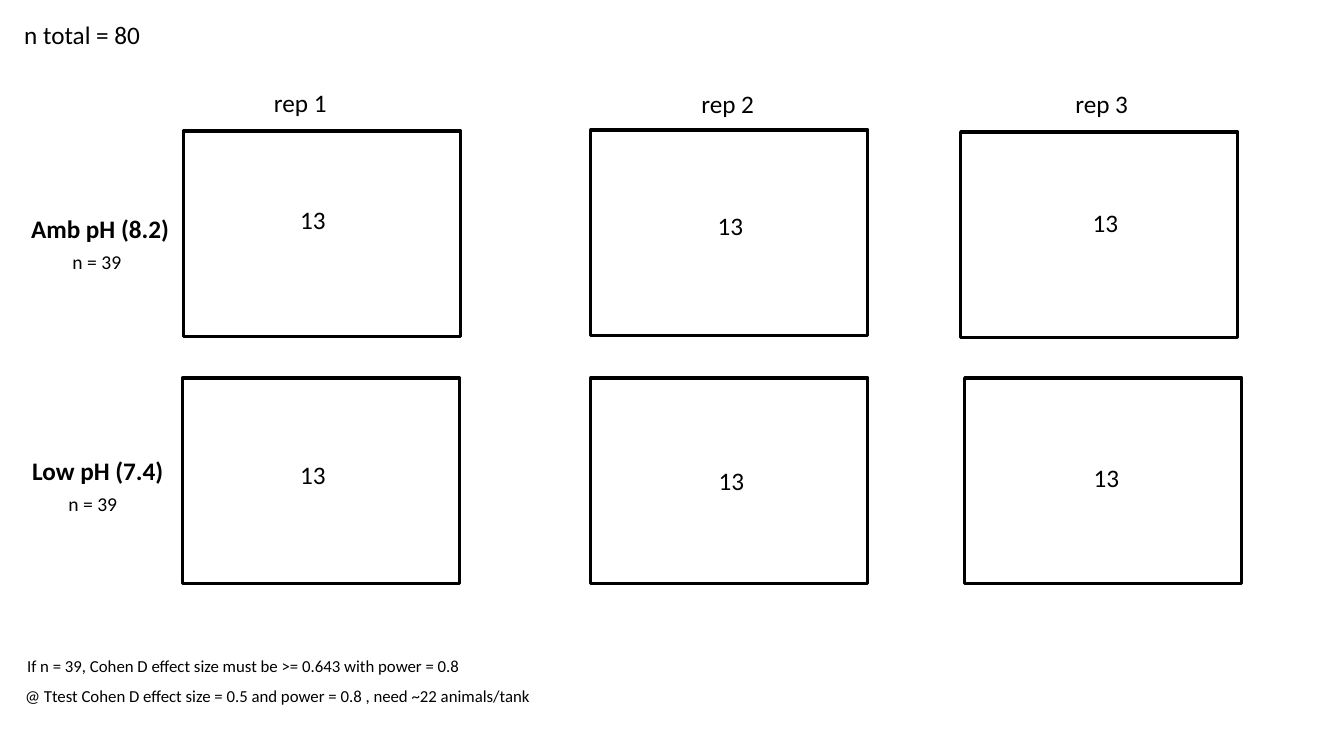
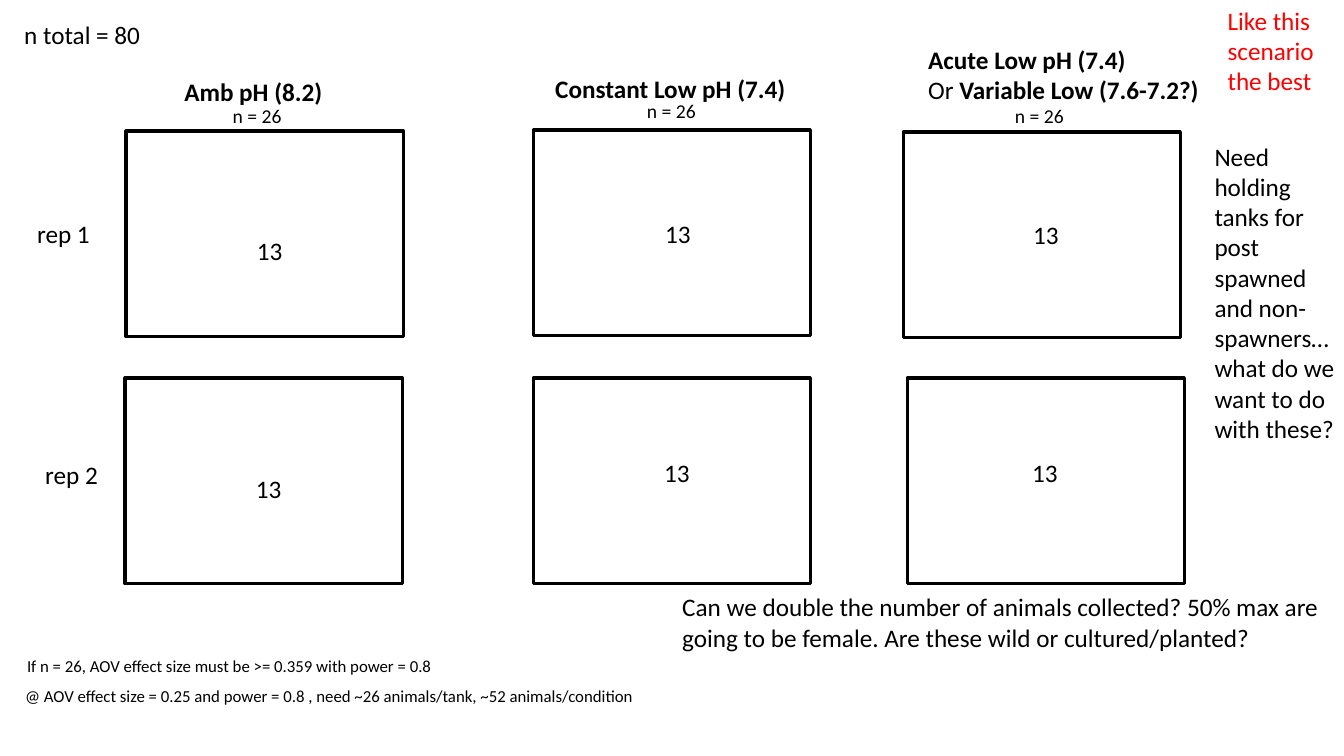
from dataclasses import dataclass
from typing import NamedTuple

from pptx import Presentation
from pptx import util as u
from pptx.dml.color import RGBColor
from pptx.enum import shapes, text

CELL = u.Inches(0.1)  # one column or row of the layout grid
SLIDE_COLUMNS, SLIDE_ROWS = 133.33, 75
TITLE_ONLY_LAYOUT = 5


@dataclass(frozen=True)
class Theme:
    font: str = "Calibri"
    ink: RGBColor = RGBColor(0, 0, 0)
    accent: RGBColor = RGBColor(255, 0, 0)
    outline: float = 2.25
    body: int = 18
    count: int = 14
    footnote: int = 12


THEME = Theme()
LINE_ROWS = {THEME.body: 4, THEME.count: 3.4, THEME.footnote: 3}


class Place(NamedTuple):
    column: float
    row: float


@dataclass(frozen=True)
class Label:
    text: str
    place: Place
    columns: float
    size: int = THEME.body
    bold: bool = False
    color: RGBColor = THEME.ink
    rows: float | None = None
    wrap: bool = False


@dataclass(frozen=True)
class Scenario:
    tank_shift: float
    labels: tuple[Label, ...]


TANK_COLUMNS, TANK_ROWS = 27.5, 20.4
TANKS = (
    Place(18.2, 13), Place(58.6, 12.9), Place(95.3, 13.1),
    Place(18.1, 37.5), Place(58.6, 37.5), Place(95.7, 37.5),
)
TITLE = Label("n total = 80", Place(1.4, 1.4), 14.2)


def tank_counts(*places: Place) -> tuple[Label, ...]:
    return tuple(Label("13", place, 4.6) for place in places)


def group_sizes(size: int, *places: Place) -> tuple[Label, ...]:
    return tuple(Label(f"n = {size}", place, 6.9, THEME.count) for place in places)


def replicates(*places: Place) -> tuple[Label, ...]:
    return tuple(Label(f"rep {number}", place, 7.3)
                 for number, place in enumerate(places, start=1))


def footnotes(condition: str, condition_columns: float,
              need: str, need_columns: float) -> tuple[Label, ...]:
    return (Label(condition, Place(1.7, 64.6), condition_columns, THEME.footnote),
            Label(need, Place(1.5, 67.5), need_columns, THEME.footnote))


TWO_CONDITIONS = Scenario(0, (
    Label("Amb pH (8.2)", Place(2.1, 20.7), 15.9, bold=True),
    Label("Low pH (7.4)", Place(2.2, 44.7), 15.2, bold=True),
    *group_sizes(39, Place(6.2, 24.3), Place(5.8, 48.3)),
    *replicates(Place(26.2, 8.2), Place(68.6, 8.3), Place(105.7, 8.3)),
    *tank_counts(Place(28.8, 19.8), Place(70.2, 20.4), Place(107.4, 20.1),
                 Place(28.8, 45.1), Place(70.3, 45.7), Place(107.5, 45.4)),
    *footnotes(
        "If n = 39, Cohen D effect size must be >= 0.643 with power = 0.8", 45.5,
        "@ Ttest Cohen D effect size = 0.5 and power = 0.8 , need ~22 animals/tank",
        52.8),
))

THREE_CONDITIONS = Scenario(-5.7, (
    Label("Amb pH (8.2)", Place(17.3, 7.1), 15.9, bold=True),
    Label("Constant Low pH (7.4)", Place(54.1, 6.8), 25.1, bold=True),
    *group_sizes(26, Place(22.1, 9.8), Place(63.2, 9.3), Place(99.7, 9.8)),
    *replicates(Place(2.7, 21.2), Place(3.5, 45.1)),
    *tank_counts(Place(24.5, 22.9), Place(65, 21.2), Place(101.5, 21.3),
                 Place(24.4, 46.5), Place(64.9, 44.9), Place(101.4, 44.9)),
    *footnotes(
        "If n = 26, AOV effect size must be >= 0.359 with power = 0.8", 43.7,
        "@ AOV effect size = 0.25 and power = 0.8 , need ~26 animals/tank, "
        "~52 animals/condition", 63.2),
    Label("Like this scenario the best", Place(120.8, 0), 12.5,
          color=THEME.accent, rows=10.1, wrap=True),
    Label("Need holding tanks for post spawned and non-spawners…"
          "what do we want to do with these?",
          Place(119.5, 13.5), 13.9, rows=34.3, wrap=True),
    Label("Can we double the number of animals collected? 50% max are going to be "
          "female. Are these wild or cultured/planted?",
          Place(66.7, 58.2), 66.7, rows=7.1, wrap=True),
))
ACUTE_HEADING = Label("Acute Low pH (7.4)", Place(91.1, 3.9), 29.1, bold=True, rows=7.1)


def cells(count: float) -> int:
    return round(count * CELL)


def format_paragraph(paragraph, label: Label) -> None:
    paragraph.alignment = text.PP_ALIGN.LEFT
    font = paragraph.font
    font.name, font.size, font.bold = THEME.font, u.Pt(label.size), label.bold
    font.color.rgb = label.color


def fill_label(shape, label: Label) -> None:
    """Place, wrap and format a text box or placeholder according to its label."""
    shape.left, shape.top = cells(label.place.column), cells(label.place.row)
    shape.width = cells(label.columns)
    shape.height = cells(label.rows or LINE_ROWS[label.size])
    frame = shape.text_frame
    frame.text = label.text
    frame.word_wrap = label.wrap
    frame.auto_size = text.MSO_AUTO_SIZE.SHAPE_TO_FIT_TEXT
    frame.vertical_anchor = text.MSO_ANCHOR.TOP
    format_paragraph(frame.paragraphs[0], label)


def add_label(slide, label: Label):
    shape = slide.shapes.add_textbox(0, 0, CELL, CELL)
    fill_label(shape, label)
    return shape


def add_tank(slide, place: Place, shift: float) -> None:
    tank = slide.shapes.add_shape(
        shapes.MSO_SHAPE.RECTANGLE, cells(place.column + shift), cells(place.row),
        cells(TANK_COLUMNS), cells(TANK_ROWS))
    tank.shadow.inherit = False
    tank.fill.background()
    tank.line.color.rgb = THEME.ink
    tank.line.width = u.Pt(THEME.outline)


def add_acute_heading(slide) -> None:
    """Add the two-line heading whose second line starts in regular weight."""
    frame = add_label(slide, ACUTE_HEADING).text_frame
    paragraph = frame.add_paragraph()
    format_paragraph(paragraph, ACUTE_HEADING)
    for words, bold in (("Or ", False), ("Variable Low (7.6-7.2?)", True)):
        run = paragraph.add_run()
        run.text = words
        run.font.bold = bold


def add_scenario(presentation, scenario: Scenario):
    slide = presentation.slides.add_slide(presentation.slide_layouts[TITLE_ONLY_LAYOUT])
    fill_label(slide.shapes.title, TITLE)
    for place in TANKS:
        add_tank(slide, place, scenario.tank_shift)
    for label in scenario.labels:
        add_label(slide, label)
    return slide


def main() -> None:
    presentation = Presentation()
    presentation.slide_width = cells(SLIDE_COLUMNS)
    presentation.slide_height = cells(SLIDE_ROWS)
    add_scenario(presentation, TWO_CONDITIONS)
    add_acute_heading(add_scenario(presentation, THREE_CONDITIONS))
    presentation.save("out.pptx")


if __name__ == "__main__":
    main()
